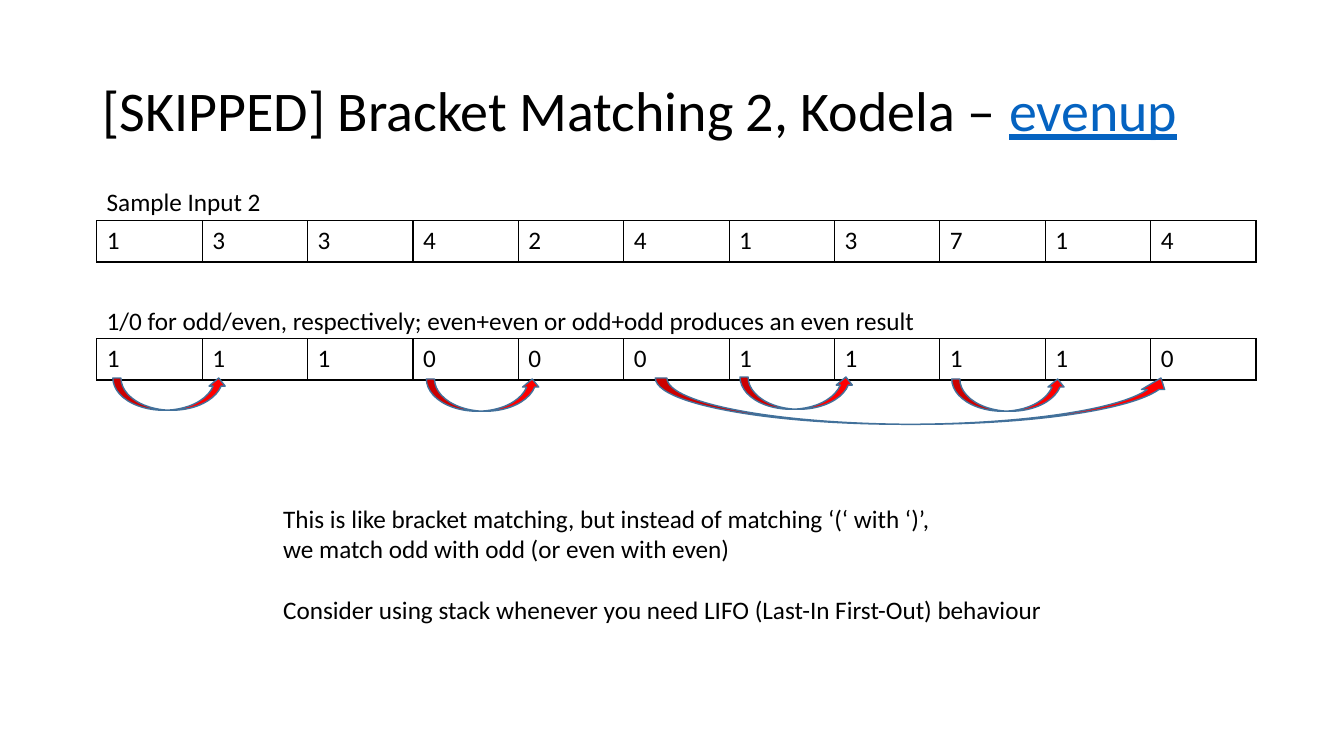
from lxml import etree
from pptx import Presentation
from pptx.dml.color import RGBColor
from pptx.enum.shapes import MSO_SHAPE
from pptx.enum.text import MSO_ANCHOR
from pptx.oxml.ns import qn
from pptx.util import Inches, Pt

CURVED_ARROW = MSO_SHAPE.CURVED_UP_ARROW
TOP, MIDDLE = MSO_ANCHOR.TOP, MSO_ANCHOR.MIDDLE

THEME = {
    "font": "Calibri", "title_size": 40, "body_size": 18,
    "text": "000000", "link": "0563C1", "border": "000000",
    "arrow_fill": "FF0000", "arrow_line": "42719B",
    "border_width": 1, "arrow_width": 1, "paragraph_gap": 22,
}

TITLE = [("[SKIPPED] Bracket Matching 2, Kodela – ", {}),
         ("evenup", {"color": "link", "underline": True})]
TITLE_BOX = (0.92, 0.4, 11.5, 1.45)

# Caption, its top and width, then the table's top and values
SEQUENCES = [
    ("Sample Input 2", 1.8, 1.76, 2.19, [1, 3, 3, 4, 2, 4, 1, 3, 7, 1, 4]),
    ("1/0 for odd/even, respectively; even+even or odd+odd produces an even result",
     2.98, 8.25, 3.36, [1, 1, 1, 0, 0, 0, 1, 1, 1, 1, 0]),
]
LEFT, TABLE_WIDTH, ROW_HEIGHT, CAPTION_HEIGHT = 0.96, 11.5, 0.41, 0.4

NEIGHBOUR, OUTER = (1.13, 0.32), (5.13, 0.46)
MATCHES = [  # left, top, size
    (1.12, 3.75, NEIGHBOUR),
    (4.23, 3.76, NEIGHBOUR),
    (7.34, 3.74, NEIGHBOUR),
    (6.5, 3.75, OUTER),
    (9.44, 3.76, NEIGHBOUR),
]

NOTES = [  # text, space before in points
    ("This is like bracket matching, but instead of matching ‘(‘ with ‘)’,", 0),
    ("we match odd with odd (or even with even)", 0),
    ("Consider using stack whenever you need LIFO (Last-In First-Out) behaviour",
     THEME["paragraph_gap"]),
]
NOTES_BOX = (2.71, 4.94, 7.92, 1.31)


def theme_color(name):
    """Return a theme colour by its role."""
    return RGBColor.from_string(THEME[name])


def add_run(paragraph, text, size="body_size", color="text", underline=None):
    """Append formatted text to a paragraph."""
    run = paragraph.add_run()
    run.text = text
    values = {"name": THEME["font"], "size": Pt(THEME[size]), "underline": underline}
    for attribute, value in values.items():
        setattr(run.font, attribute, value)
    run.font.color.rgb = theme_color(color)


def add_text_box(slide, box, anchor=TOP):
    """Add a wrapping text box and return its text frame."""
    frame = slide.shapes.add_textbox(*map(Inches, box)).text_frame
    frame.word_wrap = True
    frame.vertical_anchor = anchor
    return frame


def add_borders(cell):
    """Draw a thin line on all four sides of a cell."""
    properties = cell._tc.get_or_add_tcPr()
    for index, side in enumerate(("a:lnL", "a:lnR", "a:lnT", "a:lnB")):
        line = etree.Element(qn(side), w=str(Pt(THEME["border_width"])))
        fill = etree.SubElement(line, qn("a:solidFill"))
        etree.SubElement(fill, qn("a:srgbClr"), val=THEME["border"])
        properties.insert(index, line)


def add_sequence(slide, top, values):
    """Add a one-row table with equal columns."""
    box = (LEFT, top, TABLE_WIDTH, ROW_HEIGHT)
    table = slide.shapes.add_table(1, len(values), *map(Inches, box)).table
    table.first_row = table.horz_banding = False
    for column, cell, value in zip(table.columns, table.rows[0].cells, values):
        column.width = Inches(TABLE_WIDTH / len(values))
        cell.fill.background()
        add_borders(cell)
        add_run(cell.text_frame.paragraphs[0], str(value))


def add_match(slide, left, top, size):
    """Add a curved arrow joining two matched values."""
    shape = slide.shapes.add_shape(CURVED_ARROW, *map(Inches, (left, top, *size)))
    shape.shadow.inherit = False
    shape.fill.solid()
    shape.fill.fore_color.rgb = theme_color("arrow_fill")
    shape.line.color.rgb = theme_color("arrow_line")
    shape.line.width = Pt(THEME["arrow_width"])


def add_title(slide):
    """Add the heading with its link-coloured ending."""
    paragraph = add_text_box(slide, TITLE_BOX, MIDDLE).paragraphs[0]
    paragraph.line_spacing = 0.9
    for text, style in TITLE:
        add_run(paragraph, text, "title_size", **style)


def add_notes(slide):
    """Add the explanation below the arrows."""
    frame = add_text_box(slide, NOTES_BOX)
    for index, (text, gap) in enumerate(NOTES):
        paragraph = frame.add_paragraph() if index else frame.paragraphs[0]
        paragraph.space_before = Pt(gap)
        add_run(paragraph, text)


def main():
    """Build and save the slide."""
    presentation = Presentation()
    presentation.slide_width, presentation.slide_height = Inches(13.33), Inches(7.5)
    slide = presentation.slides.add_slide(presentation.slide_layouts[6])
    add_title(slide)
    for caption, caption_top, caption_width, table_top, values in SEQUENCES:
        add_sequence(slide, table_top, values)
        frame = add_text_box(slide, (LEFT, caption_top, caption_width, CAPTION_HEIGHT))
        add_run(frame.paragraphs[0], caption)
    for match in MATCHES:
        add_match(slide, *match)
    add_notes(slide)
    presentation.save("out.pptx")


main()
